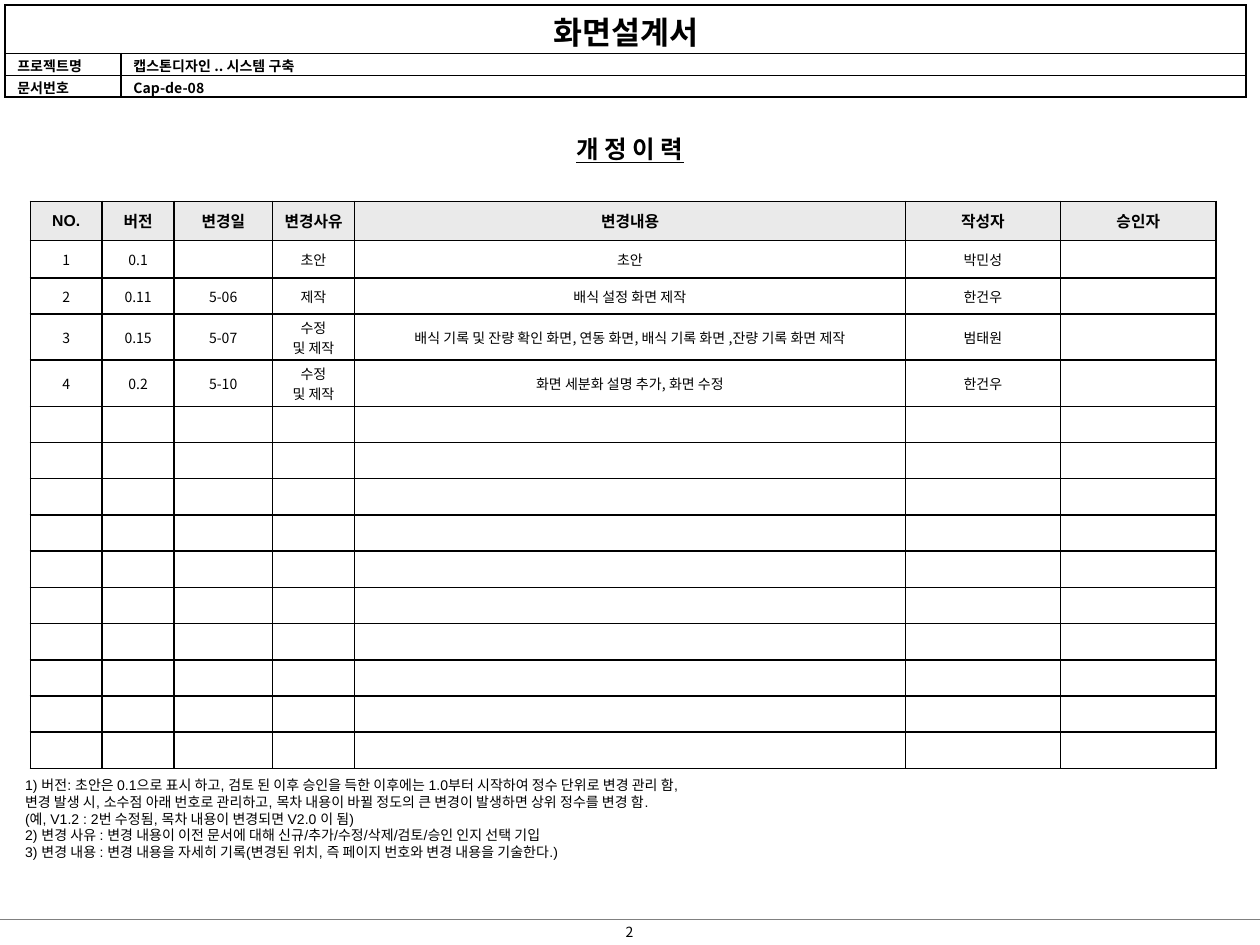
from lxml.etree import SubElement
from pptx import Presentation
from pptx.dml.color import RGBColor
from pptx.enum.shapes import MSO_CONNECTOR
from pptx.enum.text import MSO_ANCHOR, MSO_AUTO_SIZE, PP_ALIGN
from pptx.oxml.ns import qn
from pptx.util import Cm, Pt

BLACK = RGBColor(0x00, 0x00, 0x00)
WHITE = RGBColor(0xFF, 0xFF, 0xFF)
GRAY = RGBColor(0x80, 0x80, 0x80)
HEADER_GRAY = RGBColor(0xEA, 0xEA, 0xEA)
LATIN_FONT, KOREAN_FONT = "Arial", "Noto Sans CJK KR"

DOCUMENT_TITLE = "화면설계서"
DOCUMENT_INFO = [
    ("프로젝트명", "캡스톤디자인 .. 시스템 구축"),
    ("문서번호", "Cap-de-08"),
]
HEADING = "개 정 이 력"
COLUMNS = [  # label, width in cm
    ("NO.", 1.45), ("버전", 1.45), ("변경일", 1.98), ("변경사유", 1.66),
    ("변경내용", 11.1), ("작성자", 3.13), ("승인자", 3.13),
]
REVISIONS = [
    ("1", "0.1", "", "초안", "초안", "박민성", ""),
    ("2", "0.11", "5-06", "제작", "배식 설정 화면 제작", "한건우", ""),
    ("3", "0.15", "5-07", "수정\n및 제작",
     "배식 기록 및 잔량 확인 화면, 연동 화면, 배식 기록 화면 ,잔량 기록 화면 제작", "범태원", ""),
    ("4", "0.2", "5-10", "수정\n및 제작", "화면 세분화 설명 추가, 화면 수정", "한건우", ""),
]
EMPTY_ROWS = 10
NOTES = [
    "1) 버전: 초안은 0.1으로 표시 하고, 검토 된 이후 승인을 득한 이후에는 1.0부터 시작하여 정수 단위로 변경 관리 함,",
    "변경 발생 시, 소수점 아래 번호로 관리하고, 목차 내용이 바뀔 정도의 큰 변경이 발생하면 상위 정수를 변경 함.",
    "(예, V1.2 : 2번 수정됨, 목차 내용이 변경되면 V2.0 이 됨)",
    "2) 변경 사유 : 변경 내용이 이전 문서에 대해 신규/추가/수정/삭제/검토/승인 인지 선택 기입",
    "3) 변경 내용 : 변경 내용을 자세히 기록(변경된 위치, 즉 페이지 번호와 변경 내용을 기술한다.)",
]
PAGE_NUMBER = "2"


def write(text_frame, text, size, font=KOREAN_FONT, bold=False, align=PP_ALIGN.CENTER):
    text_frame.text = text
    for paragraph in text_frame.paragraphs:
        paragraph.alignment = align
        paragraph.font.size = Pt(size)
        paragraph.font.bold = bold
        paragraph.font.color.rgb = BLACK
        paragraph.font.name = font
        defaults = paragraph._p.pPr.find(qn("a:defRPr"))
        SubElement(defaults, qn("a:ea"), typeface=KOREAN_FONT)
        if not text:  # an empty cell takes its height from the end mark
            SubElement(paragraph._p, qn("a:endParaRPr"), sz=str(size * 100))


def place(shape, left, top, width, height):
    shape.left, shape.top, shape.width, shape.height = map(Cm, (left, top, width, height))


def fix_frame(text_frame, anchor, margin_y=0):
    text_frame.word_wrap = True
    text_frame.auto_size = MSO_AUTO_SIZE.NONE
    text_frame.vertical_anchor = anchor
    text_frame.margin_top = text_frame.margin_bottom = Cm(margin_y)


def add_table(slide, left, top, widths, heights):
    frame = slide.shapes.add_table(len(heights), len(widths), Cm(left), Cm(top),
                                   Cm(sum(widths)), Cm(sum(heights)))
    table = frame.table
    for column, width in zip(table.columns, widths):
        column.width = Cm(width)
    for row, height in zip(table.rows, heights):
        row.height = Cm(height)
    return table


def format_cell(cell, anchor, margin_x, fill=None):
    cell.vertical_anchor = anchor
    cell.margin_left = cell.margin_right = Cm(margin_x)
    cell.margin_top = cell.margin_bottom = 0
    properties = cell._tc.get_or_add_tcPr()
    for side in ("lnL", "lnR", "lnT", "lnB"):
        line = SubElement(properties, qn(f"a:{side}"), w=str(Pt(1)))
        color = SubElement(SubElement(line, qn("a:solidFill")), qn("a:srgbClr"))
        color.set("val", str(BLACK))
    if fill is None:
        cell.fill.background()
    else:
        cell.fill.solid()
        cell.fill.fore_color.rgb = fill


def add_document_header(slide):
    table = add_table(slide, 0.1, 0.1, [2.34, 22.68], [0.98, 0.44, 0.44])
    for cell in table.iter_cells():
        format_cell(cell, MSO_ANCHOR.BOTTOM, 0.25, WHITE)
    table.cell(0, 0).merge(table.cell(0, 1))
    write(table.cell(0, 0).text_frame, DOCUMENT_TITLE, 18, bold=True)
    for row, texts in enumerate(DOCUMENT_INFO, start=1):
        for column, text in enumerate(texts):
            write(table.cell(row, column).text_frame, text, 8, bold=True, align=PP_ALIGN.LEFT)


def add_revision_table(slide):
    labels, widths = zip(*COLUMNS)
    rows = [labels, *REVISIONS] + [("",) * len(labels)] * EMPTY_ROWS
    heights = [0.79, 0.75, 0.73, 0.93, 0.93] + [0.73] * EMPTY_ROWS
    table = add_table(slide, 0.61, 4.06, widths, heights)
    for row, texts in enumerate(rows):
        header = row == 0
        for column, text in enumerate(texts):
            cell = table.cell(row, column)
            format_cell(cell, MSO_ANCHOR.MIDDLE, 0.1, HEADER_GRAY if header else None)
            write(cell.text_frame, text, 9 if header else 8,
                  LATIN_FONT if header else KOREAN_FONT, header)


def add_heading(slide):
    title = slide.shapes.title
    place(title, 0, 2.57, 25.4, 0.86)
    fix_frame(title.text_frame, MSO_ANCHOR.MIDDLE)
    write(title.text_frame, HEADING, 14, LATIN_FONT, True)
    title.text_frame.paragraphs[0].font.underline = True


def add_notes(slide):
    body = slide.placeholders[1]
    place(body, 0.25, 15.52, 22.89, 1.96)
    fix_frame(body.text_frame, MSO_ANCHOR.TOP, 0.13)
    write(body.text_frame, "\n".join(NOTES), 8, LATIN_FONT, align=PP_ALIGN.LEFT)
    for paragraph in body.text_frame.paragraphs:
        paragraph.line_spacing = Pt(9.6)
        paragraph.space_before = Pt(0)
        properties = paragraph._p.pPr
        properties.set("marL", "0")
        properties.set("indent", "0")
        properties.find(qn("a:defRPr")).addprevious(SubElement(properties, qn("a:buNone")))


def add_footer(slide):
    rule = slide.shapes.add_connector(MSO_CONNECTOR.STRAIGHT, 0, Cm(18.54), Cm(25.4), Cm(18.54))
    rule.line.color.rgb = GRAY
    rule.line.width = Pt(0.75)
    SubElement(rule._element.spPr, qn("a:effectLst"))
    number = slide.shapes.add_textbox(Cm(11.99), Cm(18.49), Cm(1.4), Cm(0.61))
    fix_frame(number.text_frame, MSO_ANCHOR.MIDDLE)
    write(number.text_frame, PAGE_NUMBER, 8)


def main():
    presentation = Presentation()
    presentation.slide_width, presentation.slide_height = Cm(25.4), Cm(19.05)
    slide = presentation.slides.add_slide(presentation.slide_layouts[1])
    add_footer(slide)
    add_document_header(slide)
    add_heading(slide)
    add_notes(slide)
    add_revision_table(slide)
    presentation.save("out.pptx")


if __name__ == "__main__":
    main()
